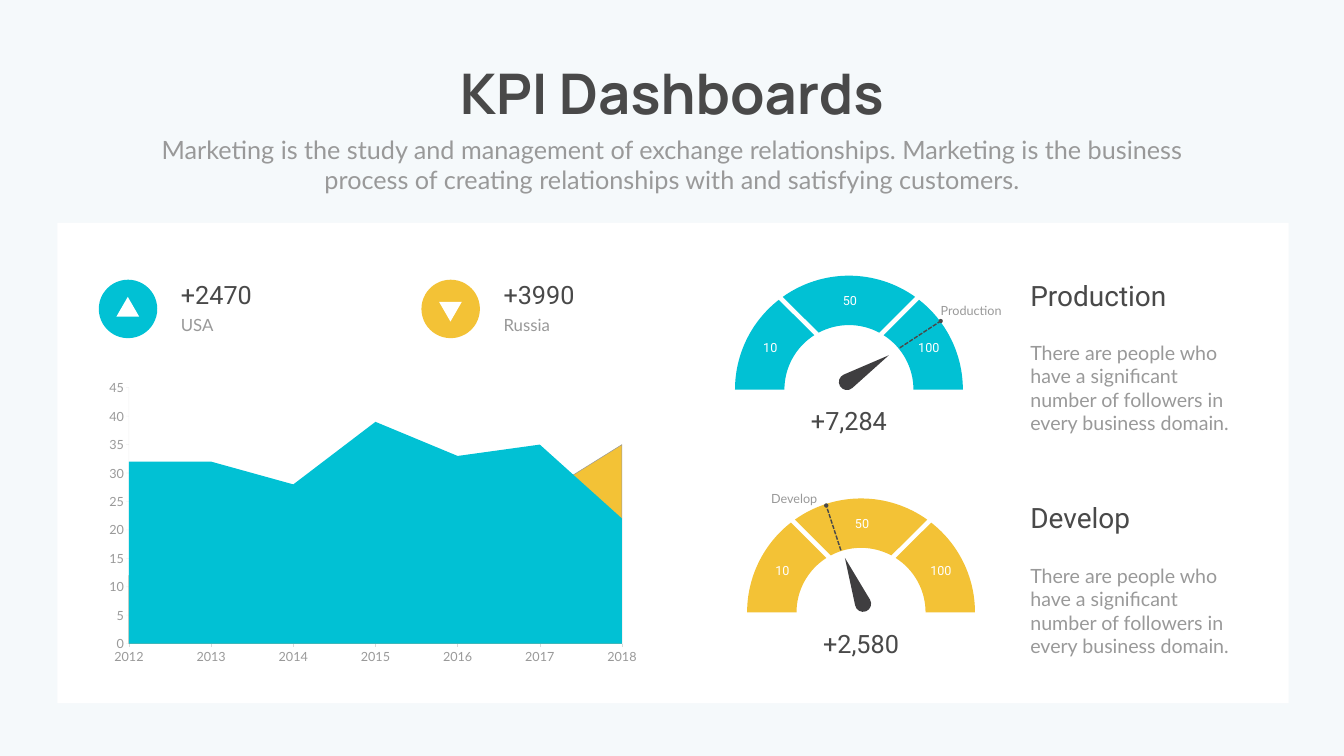
from math import cos, radians, sin, tan

from pptx import Presentation
from pptx import util as u
from pptx.chart import data
from pptx.dml import color
from pptx.enum import chart as ch, dml, shapes, text
from pptx.oxml import parse_xml
from pptx.oxml.ns import nsdecls, qn

# The slide is a grid of one-inch cells
COLS, ROWS = 26.66, 15
CELL = u.Inches(1)
PAGE, WHITE, DARK, GREY = "F5F9FB", "FFFFFF", "494949", "999999"
NEEDLE, AXIS, TEAL, YELLOW, PURPLE = "3F3E40", "808080", "01C1D4", "F3C236", "8956FD"
LEFT, CENTER, RIGHT = text.PP_ALIGN.LEFT, text.PP_ALIGN.CENTER, text.PP_ALIGN.RIGHT

# Gauge geometry: radii, and per sector the outer and inner angles and curve count
OUTER, INNER, HUB = 2.26, 1.28, 0.16
SECTORS = [((180, 128), (122.5, 180), 1), ((54.5, 125.5), (118, 62), 2),
           ((0, 52), (57.5, 0), 1)]
SCALE_LABELS = [("10", -1.85, -1.03, 0.58), ("50", -0.27, -1.97, 0.58),
                ("100", 1.1, -1.03, 0.97)]
GAUGE_PITCH = 4.42
STORY = ("There are people who have a significant number of followers "
         "in every business domain.")
YEARS = [str(year) for year in range(2012, 2019)]
TRENDS = [((32, 32, 28, 39, 33, 35, 22), TEAL), ((12, 24, 22, 21, 28, 26, 35), YELLOW),
          ([None] * len(YEARS), TEAL), ([None] * len(YEARS), PURPLE)]


def cells(*lengths):
    return [int(n * CELL) for n in lengths]


def apply(target, values):
    for name, value in values.items():
        setattr(target, name, value)


def paint(fill, hex_color):
    fill.solid()
    fill.fore_color.rgb = color.RGBColor.from_string(hex_color)


def style_font(font, size, face, hex_color, bold=False):
    apply(font, {"size": u.Pt(size), "name": face, "bold": bold})
    paint(font.fill, hex_color)


def write(holder, words, size, face, hex_color, align=LEFT, bold=False, wrap=True,
          spacing=1.0):
    frame = holder.text_frame
    apply(frame, {"text": words, "word_wrap": wrap,
                  "vertical_anchor": text.MSO_ANCHOR.TOP,
                  "auto_size": text.MSO_AUTO_SIZE.SHAPE_TO_FIT_TEXT})
    paragraph = frame.paragraphs[0]
    apply(paragraph, {"alignment": align, "line_spacing": spacing,
                      "space_before": u.Pt(0)})
    style_font(paragraph.runs[0].font, size, face, hex_color, bold)


def add_label(slide, box, *args, **kwargs):
    write(slide.shapes.add_textbox(*cells(*box)), *args, **kwargs)


def finish(shape, hex_color):
    paint(shape.fill, hex_color)
    shape.line.fill.background()
    shape.shadow.inherit = False
    return shape


def add_block(slide, kind, box, hex_color):
    return finish(slide.shapes.add_shape(kind, *cells(*box)), hex_color)


def arc(center, radius, start, end, count):
    """Steps of an arc: its first point, then (control, control, end) per curve."""
    def polar(angle, along=0):
        a = radians(angle)
        return (center[0] + radius * (cos(a) - along * sin(a)),
                center[1] - radius * (sin(a) + along * cos(a)))

    sweep = (end - start) / count
    pull = 4 / 3 * tan(radians(sweep) / 4)
    knots = [start + sweep * i for i in range(count + 1)]
    return [(polar(start),)] + [(polar(a, pull), polar(b, -pull), polar(b))
                                for a, b in zip(knots, knots[1:])]


def add_outline(slide, steps, hex_color):
    start, *ends = [cells(*step[-1]) for step in steps]
    builder = slide.shapes.build_freeform(*start)
    builder.add_line_segments(ends)
    shape = finish(builder.convert_to_shape(), hex_color)
    # Bend the sides that have control points
    sides = list(shape._element.iter(qn("a:lnTo")))
    for side, step in zip(sides, steps[1:]):
        if len(step) == 3:
            points = "".join(f'<a:pt x="{x - shape.left}" y="{y - shape.top}"/>'
                             for x, y in (cells(*point) for point in step))
            curve = parse_xml(f'<a:cubicBezTo {nsdecls("a")}>{points}</a:cubicBezTo>')
            side.getparent().replace(side, curve)


def fill_placeholder(holder, box, *args, **kwargs):
    apply(holder, dict(zip(("left", "top", "width", "height"), cells(*box))))
    write(holder, *args, **kwargs)


def add_indicator(slide, column, amount, country, hex_color, icon_top, turn):
    add_label(slide, (column + 1.53, 5.49, 3.46, 0.71), amount, 36, "Roboto", DARK)
    add_label(slide, (column + 1.53, 6.2, 3.46, 0.5), country, 24, "Lato", GREY)
    add_block(slide, shapes.MSO_SHAPE.OVAL, (column, 5.55, 1.16, 1.16), hex_color)
    icon = add_block(slide, shapes.MSO_SHAPE.ISOSCELES_TRIANGLE,
                     (column + 0.35, icon_top, 0.45, 0.39), WHITE)
    icon.rotation = turn


def add_trend_chart(slide):
    trend = data.CategoryChartData()
    trend.categories = YEARS
    for number, (values, _) in enumerate(TRENDS, 1):
        trend.add_series(f"Series {number}", values)
    chart = slide.shapes.add_chart(ch.XL_CHART_TYPE.AREA,
                                   *cells(1.96, 7.43, 10.89, 5.85), trend).chart
    apply(chart, {"has_legend": False, "has_title": False})
    style_font(chart.font, 18, "Lato", GREY)
    chart.plots[0].vary_by_categories = False
    for series, (_, hex_color) in zip(chart.plots[0].series, TRENDS):
        paint(series.format.fill, hex_color)
    edge = chart.plots[0].series[1].format.line
    edge.width = u.Pt(0.75)
    paint(edge.fill, GREY)

    # Axes
    for axis in (chart.category_axis, chart.value_axis):
        apply(axis, {"has_major_gridlines": False,
                     "major_tick_mark": ch.XL_TICK_MARK.OUTSIDE,
                     "minor_tick_mark": ch.XL_TICK_MARK.NONE})
        axis.format.line.width = u.Pt(0.75)
    apply(chart.value_axis, {"minimum_scale": 0, "maximum_scale": 45, "major_unit": 5})
    paint(chart.category_axis.format.line.fill, "D9D9D9")
    paint(chart.value_axis.format.line.fill, AXIS)
    for tint in chart.value_axis._element.iter(qn("a:srgbClr")):
        if tint.get("val") == AXIS:
            tint.append(parse_xml(f'<a:alpha {nsdecls("a")} val="10000"/>'))

    # Plot area as percentages of the chart
    area = chart._chartSpace.chart.plotArea
    for old in area.findall(qn("c:layout")):
        area.remove(old)
    shares = "".join(f'<c:{key} val="{percent / 100}"/>' for key, percent in
                     zip("xywh", (5.5, 4.5, 89.8, 86.8)))
    area.insert(0, parse_xml(
        f'<c:layout {nsdecls("c")}><c:manualLayout><c:layoutTarget val="inner"/>'
        f'<c:xMode val="edge"/><c:yMode val="edge"/>{shares}'
        f'</c:manualLayout></c:layout>'))


def add_marker(slide, start, end):
    marker = slide.shapes.add_connector(shapes.MSO_CONNECTOR.STRAIGHT,
                                        *cells(*start, *end))
    apply(marker.line, {"width": u.Pt(2), "dash_style": dml.MSO_LINE.SQUARE_DOT})
    paint(marker.line.fill, DARK)
    marker.line._get_or_add_ln().append(
        parse_xml(f'<a:tailEnd {nsdecls("a")} type="oval"/>'))
    marker._element.spPr.append(parse_xml(f'<a:effectLst {nsdecls("a")}/>'))


def add_gauge(slide, center, topic, amount, hex_color, hub, tip, heading, marker, tag,
              align):
    x, y = center
    add_label(slide, (*tag, 1.55, 0.59), topic, 18, "Lato", GREY, align,
              spacing=u.Pt(40.8))
    for outer, inner, count in SECTORS:
        add_outline(slide, arc(center, OUTER, *outer, count)
                    + arc(center, INNER, *inner, count), hex_color)
    add_outline(slide, arc(hub, HUB, heading + 80, heading + 280, 2) + [(tip,)], NEEDLE)
    add_marker(slide, *marker)
    add_label(slide, (x - 1.02, y + 0.26, 2.04, 0.71), amount, 36, "Roboto", DARK, CENTER)
    for words, dx, dy, width in SCALE_LABELS:
        add_label(slide, (x + dx, y + dy, width, 0.4), words, 18, "Roboto", WHITE, CENTER)


def add_story(slide, top, topic):
    add_label(slide, (20.34, top + 1.24, 4.33, 1.99), STORY, 28, "Lato", GREY)
    add_label(slide, (20.34, top, 4.33, 0.77), topic, 40, "Roboto", DARK)


def main():
    deck = Presentation()
    deck.slide_width, deck.slide_height = cells(COLS, ROWS)
    slide = deck.slides.add_slide(deck.slide_layouts[0])

    # Page colour and panel, behind the heading
    page = add_block(slide, shapes.MSO_SHAPE.ROUNDED_RECTANGLE, (0, 0, COLS, ROWS), PAGE)
    page.adjustments[0] = 0
    panel = add_block(slide, shapes.MSO_SHAPE.RECTANGLE, (1.14, 4.42, 24.42, 9.53), WHITE)
    for backdrop in (panel, page):
        slide.shapes._spTree.insert(2, backdrop._element)

    # Heading
    fill_placeholder(slide.shapes.title, (8.67, 1.12, 9.32, 1.45), "KPI Dashboards",
                     80, "Manrope", DARK, CENTER, bold=True, wrap=False)
    fill_placeholder(slide.placeholders[1], (2.92, 2.61, 20.82, 1.31),
                     "Marketing is the study and management of exchange relationships. "
                     "Marketing is the business process of creating relationships with "
                     "and satisfying customers.", 36, "Lato", GREY, CENTER)

    # Trend and country indicators
    add_trend_chart(slide)
    add_indicator(slide, 1.96, "+2470", "USA", TEAL, 5.89, 0)
    add_indicator(slide, 8.36, "+3990", "Russia", YELLOW, 5.99, 180)

    # Gauges with their stories
    add_gauge(slide, (16.84, 7.73), "Production", "+7,284", TEAL, (16.8, 7.58),
              (17.63, 7.05), 32, ((17.85, 6.9), (18.66, 6.37)), (18.56, 5.7), LEFT)
    add_gauge(slide, (17.08, 7.73 + GAUGE_PITCH), "Develop", "+2,580", YELLOW,
              (17.12, 11.98), (16.76, 11.07), 111.5, ((16.68, 10.92), (16.39, 10.03)),
              (14.76, 9.43), RIGHT)
    for row, topic in enumerate(("Production", "Develop")):
        add_story(slide, 5.47 + row * GAUGE_PITCH, topic)

    deck.save("out.pptx")


if __name__ == "__main__":
    main()
